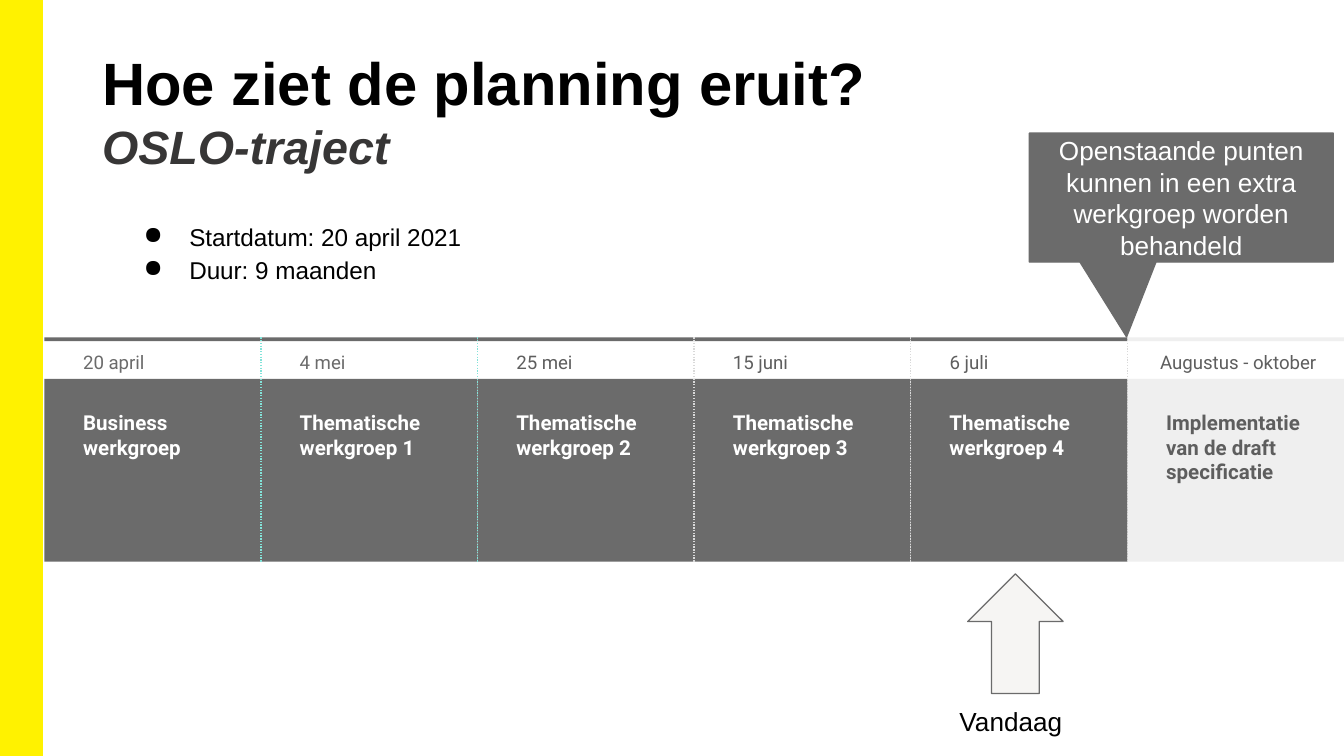
from dataclasses import dataclass

from lxml import etree
from pptx import Presentation
from pptx.dml.color import RGBColor
from pptx.enum.dml import MSO_LINE
from pptx.enum.shapes import MSO_CONNECTOR, MSO_SHAPE
from pptx.enum.text import MSO_ANCHOR, MSO_AUTO_SIZE, PP_ALIGN
from pptx.oxml.ns import qn
from pptx.util import Inches, Pt

RECT, UP_ARROW = MSO_SHAPE.RECTANGLE, MSO_SHAPE.UP_ARROW
CALLOUT = MSO_SHAPE.ROUNDED_RECTANGULAR_CALLOUT
STRAIGHT, DOT = MSO_CONNECTOR.STRAIGHT, MSO_LINE.ROUND_DOT
TOP, MIDDLE = MSO_ANCHOR.TOP, MSO_ANCHOR.MIDDLE
LEFT, CENTER = PP_ALIGN.LEFT, PP_ALIGN.CENTER
NO_FIT = MSO_AUTO_SIZE.NONE

COLS, ROWS = 100, 56.25


@dataclass(frozen=True)
class Theme:
    sans: str = "Arial"
    label: str = "Roboto"
    yellow: str = "FFF200"
    black: str = "000000"
    white: str = "FFFFFF"
    subtitle: str = "373636"
    done: str = "6B6B6B"
    upcoming: str = "EFEFEF"
    muted: str = "5E5E5E"
    divider: str = "D9D9D9"
    accent: str = "83E3D9"
    arrow: str = "F6F5F3"
    title_pt: int = 32
    subtitle_pt: int = 25
    note_pt: int = 14
    bullet_pt: int = 13
    phase_pt: int = 11
    date_pt: int = 10


T = Theme()

PHASES = [
    ("20 april", "Business werkgroep", T.done, T.accent),
    ("4 mei", "Thematische werkgroep 1", T.done, T.accent),
    ("25 mei", "Thematische werkgroep 2", T.muted, T.divider),
    ("15 juni", "Thematische werkgroep 3", T.muted, T.divider),
    ("6 juli", "Thematische werkgroep 4", T.muted, T.divider),
    ("Augustus - oktober", "Implementatie van de draft specificatie", T.muted, None),
]


def grid(*units):
    return [Inches(n / 10) for n in units]


def rgb(value):
    return RGBColor.from_string(value)


def add_run(p, text, size, color, font=T.sans, bold=False, italic=False):
    r = p.add_run()
    r.text = text
    r.font.name, r.font.size = font, Pt(size)
    r.font.bold, r.font.italic = bold, italic
    r.font.color.rgb = rgb(color)


def setup_frame(tf, inset=(1, 1, 1, 1), anchor=TOP):
    tf.word_wrap, tf.auto_size, tf.vertical_anchor = True, NO_FIT, anchor
    (tf.margin_left, tf.margin_top,
     tf.margin_right, tf.margin_bottom) = grid(*inset)


def add_text(shapes, box):
    tf = shapes.add_textbox(*grid(*box)).text_frame
    setup_frame(tf)
    return tf


def add_block(shapes, kind, box, fill, line=None, width=0.75):
    s = shapes.add_shape(kind, *grid(*box))
    s.shadow.inherit = False
    s.fill.solid()
    s.fill.fore_color.rgb = rgb(fill)
    if line:
        s.line.color.rgb = rgb(line)
        s.line.width = Pt(width)
    else:
        s.line.fill.background()
    return s


def add_divider(shapes, x, top, bottom, color):
    c = shapes.add_connector(STRAIGHT, *grid(x, top, x, bottom))
    c.line.color.rgb = rgb(color)
    c.line.width, c.line.dash_style = Pt(0.75), DOT
    etree.SubElement(c._element.spPr, qn("a:effectLst"))


def add_title(slide, box):
    title = slide.shapes.title
    title.left, title.top, title.width, title.height = grid(*box)
    tf = title.text_frame
    setup_frame(tf, (0.7, 0.4, 0.7, 0.4))
    lines = [("Hoe ziet de planning eruit?", T.title_pt, T.black, False),
             ("OSLO-traject", T.subtitle_pt, T.subtitle, True)]
    for i, (text, size, color, italic) in enumerate(lines):
        p = tf.add_paragraph() if i else tf.paragraphs[0]
        p.alignment, p.line_spacing, p.space_before = LEFT, 1.0, Pt(0)
        add_run(p, text, size, color, bold=True, italic=italic)


def add_facts(shapes, box):
    tf = add_text(shapes, box)
    for i, text in enumerate(["Startdatum: 20 april 2021", "Duur: 9 maanden"]):
        p = tf.add_paragraph() if i else tf.paragraphs[0]
        pPr = p._p.get_or_add_pPr()
        pPr.set("marL", str(Inches(0.5)))
        pPr.set("indent", str(Inches(-0.34)))
        bullet_color = etree.SubElement(pPr, qn("a:buClr"))
        etree.SubElement(bullet_color, qn("a:srgbClr"), val=T.black)
        etree.SubElement(pPr, qn("a:buChar"), char="●")
        p.line_spacing = 1.15
        add_run(p, text, T.bullet_pt, T.black)


def add_phase(shapes, box, phase):
    x, y, w, h = box
    date, name, date_color, divider = phase
    fill = T.done if divider else T.upcoming
    name_color = T.white if divider else T.muted
    date_x, date_w = (x + 1.9, 9.2) if divider else (x + 1.46, 14.3)
    parts = shapes.add_group_shape().shapes
    add_block(parts, RECT, (x, y + 3.1, w, h - 3.1), fill)
    add_block(parts, RECT, (x, y, w, 0.3), fill)
    if divider:
        add_divider(parts, x + w, y, y + h, divider)
    p = add_text(parts, (x + 1.9, y + 4.4, 12.4, 4)).paragraphs[0]
    add_run(p, name, T.phase_pt, name_color, T.label, bold=True)
    p = add_text(parts, (date_x, y, date_w, 1.5)).paragraphs[0]
    p.line_spacing, p.space_after = 1.15, Pt(16)
    add_run(p, date, T.date_pt, date_color, T.label)


def add_timeline(shapes, box):
    x, y, w, h = box
    step = w / len(PHASES)
    for i, phase in reversed(list(enumerate(PHASES))):
        add_phase(shapes, (x + i * step, y, step, h), phase)


def add_today(shapes, box):
    x, y, w, h = box
    add_block(shapes, UP_ARROW, (x + 1.6, y, 7.1, 8.9), T.arrow, T.done)
    p = add_text(shapes, (x, y + 8.8, w, h - 8.8)).paragraphs[0]
    add_run(p, "Vandaag", T.note_pt, T.black)


def add_callout(shapes, box):
    s = add_block(shapes, CALLOUT, box, T.done, T.done)
    for i, value in enumerate((-0.18, 1.08, 0)):
        s.adjustments[i] = value
    setup_frame(s.text_frame, anchor=MIDDLE)
    p = s.text_frame.paragraphs[0]
    p.alignment = CENTER
    add_run(p, "Openstaande punten kunnen in een extra werkgroep worden behandeld",
            T.note_pt, T.white)


def main():
    prs = Presentation()
    prs.slide_width, prs.slide_height = grid(COLS, ROWS)
    slide = prs.slides.add_slide(prs.slide_layouts[5])
    shapes = slide.shapes
    add_block(shapes, RECT, (0, 0, 3.1, ROWS), T.yellow, T.yellow, 1)
    add_title(slide, (6.9, 3, 86.2, 8.1))
    add_facts(shapes, (8.1, 15.2, 81.8, 6.7))
    add_timeline(shapes, (3.3, 25.1, COLS - 3.3, 16.7))
    add_today(shapes, (70.4, 42.7, 16.8, 13.2))
    add_callout(shapes, (76.6, 9.9, 22.6, 9.6))
    prs.save("out.pptx")


if __name__ == "__main__":
    main()
